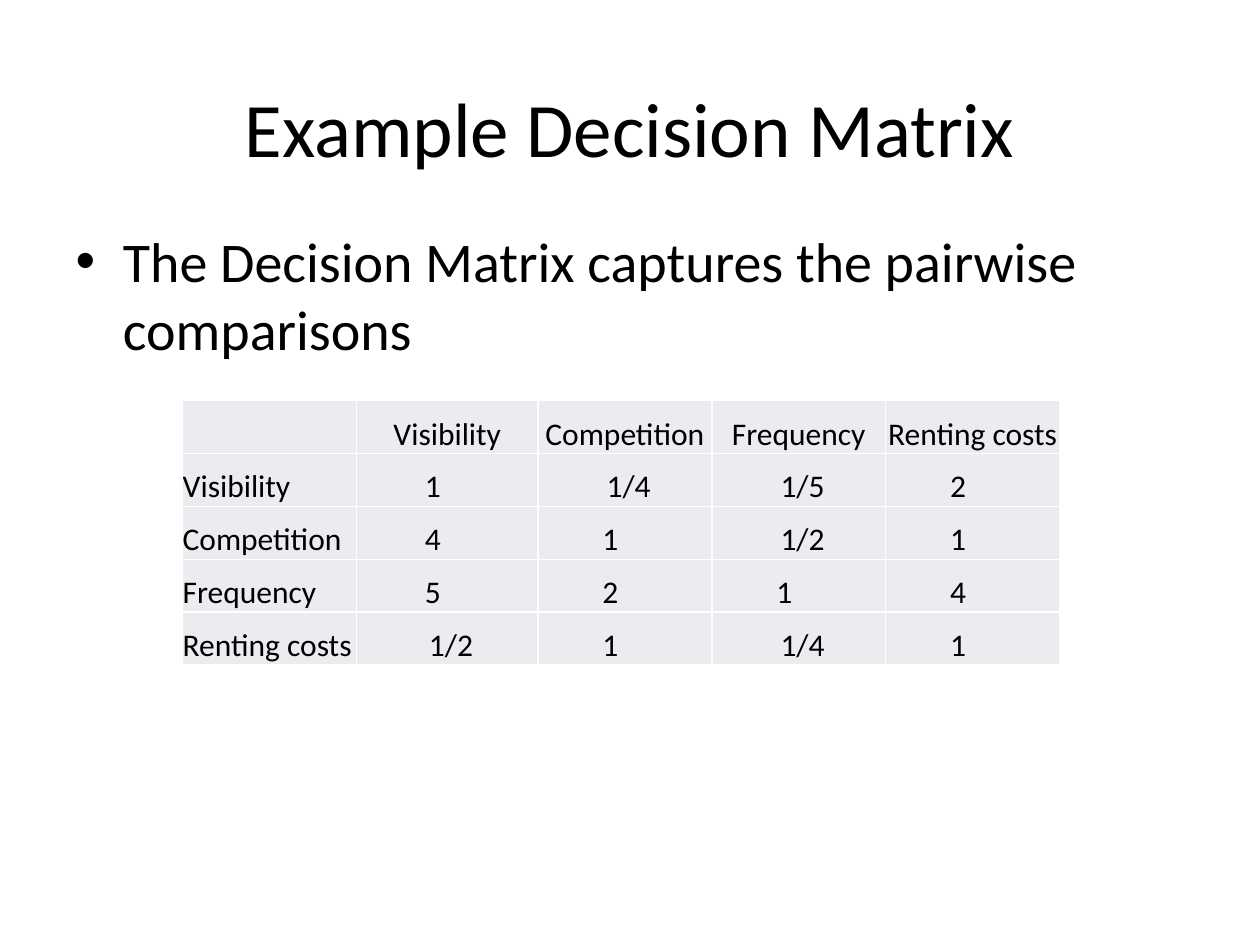
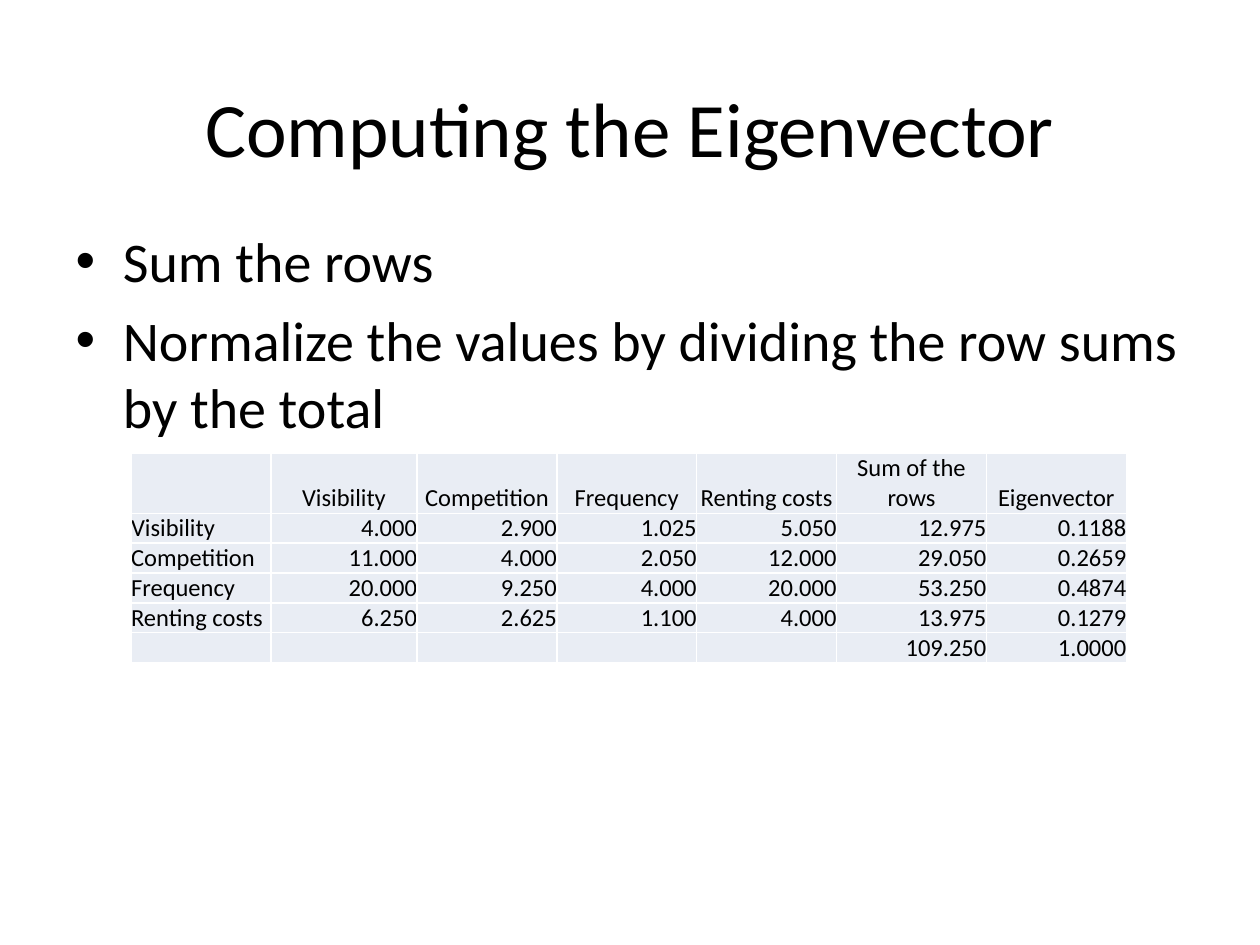
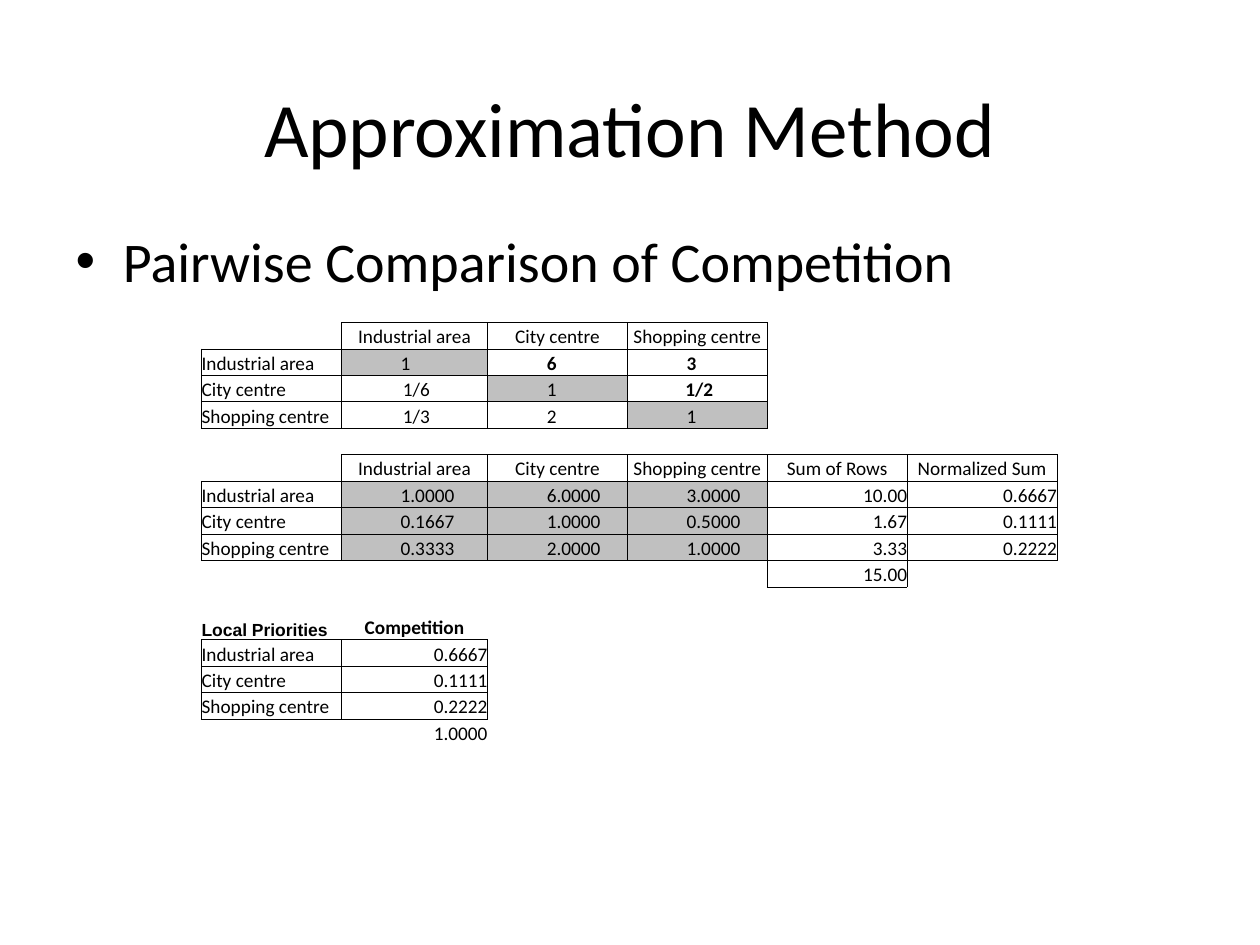
from dataclasses import dataclass
from functools import partial
from typing import Callable, NamedTuple, Optional

from lxml.etree import SubElement
from pptx import Presentation
from pptx.dml.color import RGBColor
from pptx.enum.text import MSO_ANCHOR, PP_ALIGN
from pptx.oxml.ns import qn
from pptx.util import Inches, Pt


@dataclass(frozen=True)
class Theme:
    font: str = "Calibri"
    caption_font: str = "Arial"
    text: str = "000000"
    white: str = "FFFFFF"
    lilac: str = "EDEAF0"
    pale_blue: str = "E9EDF4"
    grey: str = "C0C0C0"
    title_size: float = 44
    body_size: float = 32
    matrix_size: float = 18
    eigen_size: float = 14
    method_size: float = 11
    caption_size: float = 10


THEME = Theme()
NO_STYLE = "{2D5ABB26-0587-4C30-8999-92F81FD0307C}"


class Cell(NamedTuple):
    text: str = ""
    align: PP_ALIGN = PP_ALIGN.CENTER
    left: float = 0
    right: float = 0
    fill: Optional[str] = None
    bold: bool = False
    boxed: bool = True
    font: str = THEME.font
    size: Optional[float] = None


@dataclass(frozen=True)
class Grid:
    left: float
    top: float
    cols: list[float]
    row_height: float
    rows: list[list[Cell]]
    size: float
    line: str
    line_width: float
    fill: Optional[str] = None


# Kinds of cell
label = partial(Cell, align=PP_ALIGN.LEFT)
number = partial(Cell, align=PP_ALIGN.RIGHT)
indented = partial(Cell, align=PP_ALIGN.LEFT, left=0.47)
blank = Cell(boxed=False)


def rating(text: str) -> Cell:
    """Fractions sit slightly right of centre, whole numbers left of it."""
    return Cell(text, left=0.06) if "/" in text else Cell(text, right=0.23)


def row(name: str, values: str, kind: Callable[[str], Cell]) -> list[Cell]:
    return [label(name), *map(kind, values.split())]


def style(p, size: float, font: str = THEME.font, bold: bool = False) -> None:
    p.font.name = font
    p.font.size = Pt(size)
    p.font.bold = bold
    p.font.color.rgb = RGBColor.from_string(THEME.text)


def set_border(cell, side: str, grid: Grid, drawn: bool) -> None:
    ln = SubElement(cell._tc.get_or_add_tcPr(), qn(f"a:ln{side}"),
                    w=str(int(Pt(grid.line_width))))
    if drawn:
        SubElement(SubElement(ln, qn("a:solidFill")), qn("a:srgbClr"), val=grid.line)
    else:
        SubElement(ln, qn("a:noFill"))


def fill_cell(cell, c: Cell, grid: Grid) -> None:
    cell.margin_left, cell.margin_right = Inches(c.left), Inches(c.right)
    cell.margin_top = cell.margin_bottom = 0
    cell.vertical_anchor = MSO_ANCHOR.BOTTOM
    color = c.fill or grid.fill
    if color:
        cell.fill.solid()
        cell.fill.fore_color.rgb = RGBColor.from_string(color)
    else:
        cell.fill.background()
    p = cell.text_frame.paragraphs[0]
    p.alignment = c.align
    size = c.size or grid.size
    style(p, size, c.font, c.bold)
    if c.text:
        p.add_run().text = c.text
    else:  # keeps empty rows from growing
        SubElement(p._p, qn("a:endParaRPr"), sz=str(int(size * 100)))


def add_grid(s, grid: Grid) -> None:
    n_rows, n_cols = len(grid.rows), len(grid.cols)
    table = s.shapes.add_table(
        n_rows, n_cols, Inches(grid.left), Inches(grid.top),
        Inches(sum(grid.cols)), Inches(grid.row_height * n_rows)).table
    table.first_row = table.horz_banding = False
    table._tbl.tblPr.find(qn("a:tableStyleId")).text = NO_STYLE
    for col, width in zip(table.columns, grid.cols):
        col.width = Inches(width)
    for table_row in table.rows:
        table_row.height = Inches(grid.row_height)

    def boxed(i: int, j: int) -> bool:
        return 0 <= i < n_rows and 0 <= j < n_cols and grid.rows[i][j].boxed

    # An edge is drawn when the cell on either side of it is boxed
    sides = {"L": (0, -1), "R": (0, 1), "T": (-1, 0), "B": (1, 0)}
    for i, cells in enumerate(grid.rows):
        for j, c in enumerate(cells):
            cell = table.cell(i, j)
            for side, (di, dj) in sides.items():
                set_border(cell, side, grid, c.boxed or boxed(i + di, j + dj))
            fill_cell(cell, c, grid)


def place(sp, left: float, top: float, width: float, height: float) -> None:
    sp.left, sp.top = Inches(left), Inches(top)
    sp.width, sp.height = Inches(width), Inches(height)


def add_slide(prs, title: str, bullets: list[str], grid: Grid) -> None:
    s = prs.slides.add_slide(prs.slide_layouts[1])
    heading, body = s.shapes.title, s.placeholders[1]
    place(heading, 0.5, 0.38, 9, 1.25)
    heading.text_frame.text = title
    style(heading.text_frame.paragraphs[0], THEME.title_size)
    place(body, 0.5, 1.75, 9, 4.95)
    tf = body.text_frame
    tf.text = "\n".join(bullets)
    tf.paragraphs[0].space_before = Pt(0)
    for p in tf.paragraphs:
        style(p, THEME.body_size)
    add_grid(s, grid)


CRITERIA = ["Visibility", "Competition", "Frequency", "Renting costs"]
SITES = ["Industrial area", "City centre", "Shopping centre"]


def decision_matrix() -> Grid:
    ratings = ["1 1/4 1/5 2", "4 1 1/2 1", "5 2 1 4", "1/2 1 1/4 1"]
    rows = [[Cell(), *map(Cell, CRITERIA)]]
    rows += [row(name, values, rating) for name, values in zip(CRITERIA, ratings)]
    return Grid(1.45, 3.18, [1.38, 1.44, 1.38, 1.38, 1.38], 0.42, rows,
                THEME.matrix_size, THEME.white, 1, THEME.lilac)


def eigenvector() -> Grid:
    values = ["4.000 2.900 1.025 5.050 12.975 0.1188",
              "11.000 4.000 2.050 12.000 29.050 0.2659",
              "20.000 9.250 4.000 20.000 53.250 0.4874",
              "6.250 2.625 1.100 4.000 13.975 0.1279"]
    rows = [[Cell(), *map(Cell, [*CRITERIA, "Sum of the rows", "Eigenvector"])]]
    rows += [row(name, line, number) for name, line in zip(CRITERIA, values)]
    rows.append([Cell()] * 5 + [number("109.250"), number("1.0000")])
    return Grid(1.04, 3.6, [1.11, 1.16, 1.11, 1.11, 1.11, 1.19, 1.11], 0.21, rows,
                THEME.eigen_size, THEME.white, 1, THEME.pale_blue)


def approximation() -> Grid:
    n_cols = 6
    site_heads = [blank, *map(Cell, SITES)]

    # Pairwise comparisons: grey diagonal, bold judgements above it
    rows = [site_heads]
    for i, values in enumerate(["1 6 3", "1/6 1 1/2", "1/3 2 1"]):
        cells = [label(SITES[i])]
        for j, text in enumerate(values.split()):
            c = Cell(text, left=0.03) if "/" in text else indented(text)
            cells.append(c._replace(bold=j > i, fill=THEME.grey if i == j else None))
        rows.append(cells)
    rows.append([])

    # Decimal values with row sums
    rows.append([*site_heads, Cell("Sum of Rows"), Cell("Normalized Sum")])
    decimals = ["1.0000 6.0000 3.0000", "0.1667 1.0000 0.5000", "0.3333 2.0000 1.0000"]
    sums = ["10.00", "1.67", "3.33"]
    priorities = ["0.6667", "0.1111", "0.2222"]
    for name, values, total, share in zip(SITES, decimals, sums, priorities):
        rows.append(row(name, values, partial(indented, fill=THEME.grey))
                    + [number(total), number(share)])
    rows += [[blank] * 4 + [number("15.00")], []]

    # Local priorities
    rows.append([label("Local Priorities", bold=True, boxed=False,
                       font=THEME.caption_font, size=THEME.caption_size),
                 Cell("Competition", bold=True, boxed=False)])
    rows += [row(name, share, number) for name, share in zip(SITES, priorities)]
    rows.append([blank, number("1.0000", boxed=False)])

    rows = [cells + [blank] * (n_cols - len(cells)) for cells in rows]
    return Grid(1.6, 2.56, [1.11, 1.16, 1.11, 1.11, 1.11, 1.19], 0.21, rows,
                THEME.method_size, THEME.text, 0.5)


def main() -> None:
    prs = Presentation()
    prs.slide_width, prs.slide_height = Inches(10), Inches(7.5)
    add_slide(prs, "Example Decision Matrix",
              ["The Decision Matrix captures the pairwise comparisons"],
              decision_matrix())
    add_slide(prs, "Computing the Eigenvector",
              ["Sum the rows",
               "Normalize the values by dividing the row sums by the total"],
              eigenvector())
    add_slide(prs, "Approximation Method",
              ["Pairwise Comparison of Competition"], approximation())
    prs.save("out.pptx")


if __name__ == "__main__":
    main()
